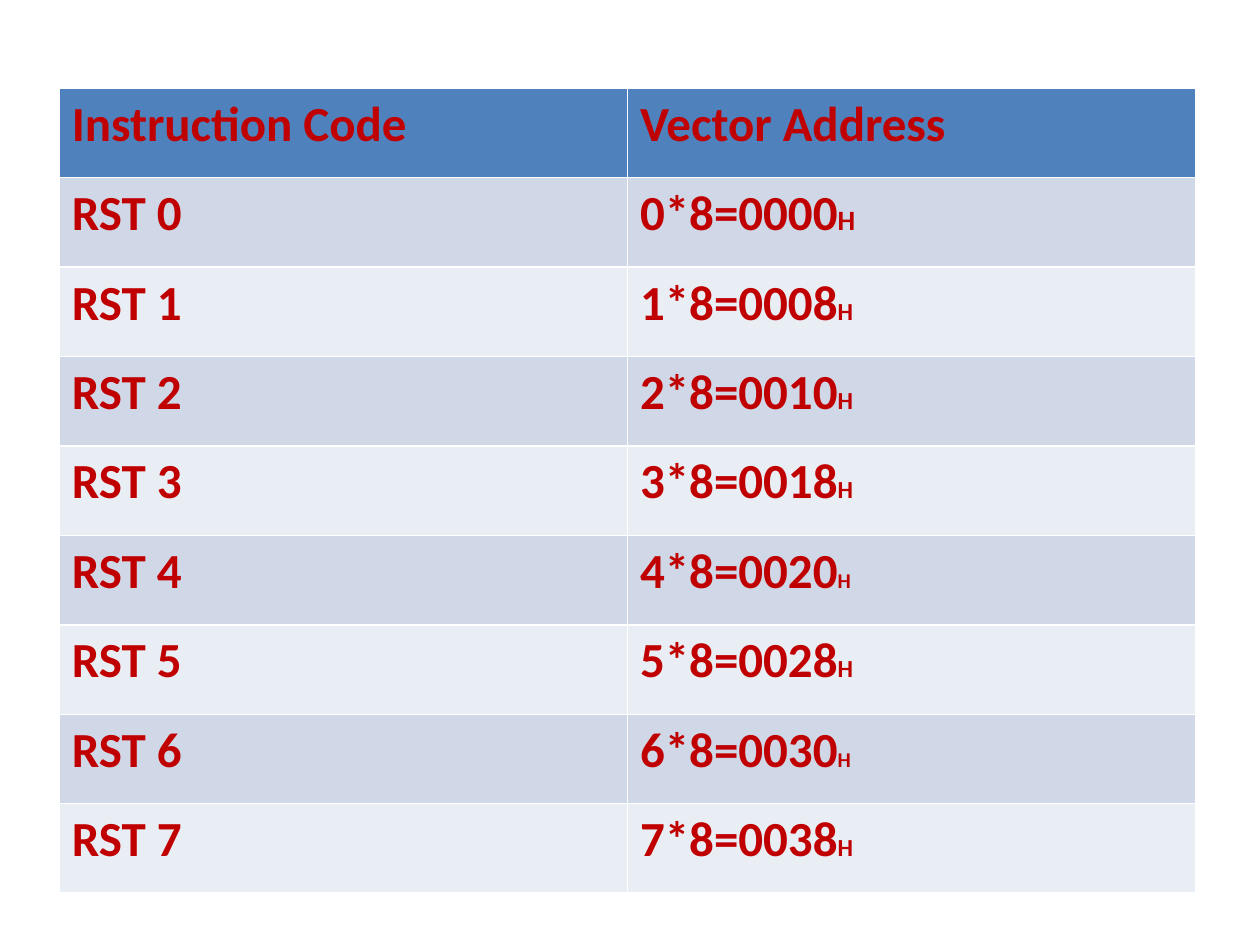
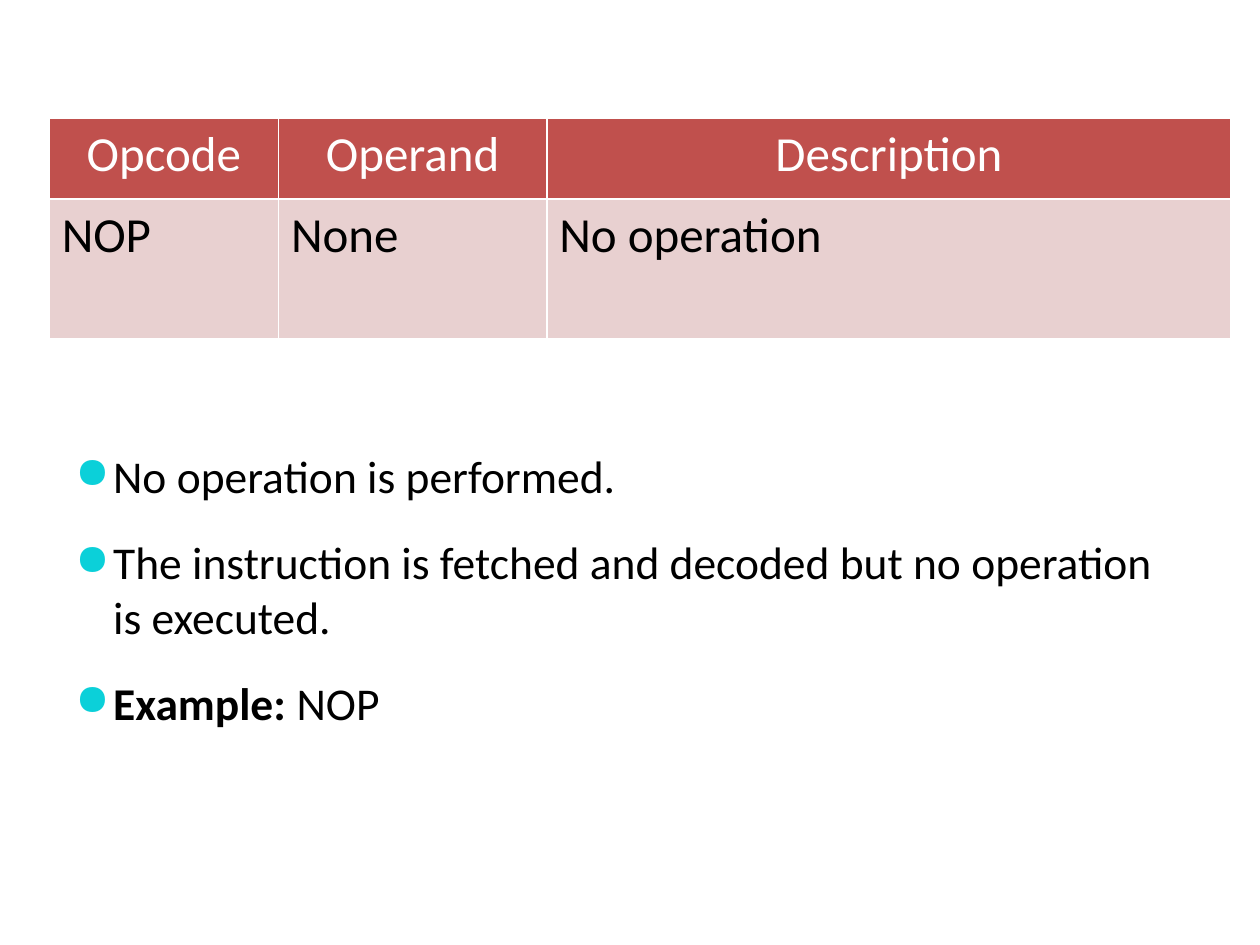
from lxml import etree
from pptx import Presentation
from pptx.dml.color import RGBColor
from pptx.enum import text
from pptx.oxml.ns import qn
from pptx.util import Inches, Pt

FONT = "Calibri"
WHITE = RGBColor(0xFF, 0xFF, 0xFF)
BLACK = RGBColor(0, 0, 0)
DARK_RED = RGBColor(0xC0, 0, 0)
BLUE = RGBColor(0x4F, 0x81, 0xBD)
BLUE_BANDS = (RGBColor(0xD0, 0xD8, 0xE8), RGBColor(0xE9, 0xED, 0xF4))
BRICK = RGBColor(0xC0, 0x50, 0x4D)
PINK = RGBColor(0xE8, 0xD0, 0xD0)
BULLET_COLOR = RGBColor(0x0B, 0xD0, 0xD9)

SUFFIX_SIZES = (16, 14, 14, 14, 12, 14, 12, 14)


def add_run(paragraph, words, size, color, bold=False):
    run = paragraph.add_run()
    run.text = words
    run.font.name = FONT
    run.font.size = Pt(size)
    run.font.bold = bold
    run.font.color.rgb = color
    return run


def add_table(slide, left, top, column_widths, row_heights):
    table = slide.shapes.add_table(
        len(row_heights), len(column_widths), Inches(left), Inches(top),
        Inches(sum(column_widths)), Inches(sum(row_heights))).table
    for column, width in zip(table.columns, column_widths):
        column.width = Inches(width)
    for row, height in zip(table.rows, row_heights):
        row.height = Inches(height)
    return table


def fill_cell(cell, words, fill, color, bold=False):
    """Write a 28 point entry on a plain fill and return its paragraph."""
    cell.fill.solid()
    cell.fill.fore_color.rgb = fill
    paragraph = cell.text_frame.paragraphs[0]
    add_run(paragraph, words, 28, color, bold)
    return paragraph


def add_bullet(paragraph):
    properties = paragraph._p.get_or_add_pPr()
    properties.set("marL", str(Inches(0.3)))
    properties.set("indent", str(-Inches(0.3)))
    color = etree.SubElement(properties, qn("a:buClr"))
    etree.SubElement(color, qn("a:srgbClr"), val=str(BULLET_COLOR))
    etree.SubElement(properties, qn("a:buSzPct"), val="95000")
    etree.SubElement(properties, qn("a:buChar"), char="●")
    paragraph.space_after = Pt(18)


def add_bullet_list(slide, left, top, width, height, items):
    """Add bulleted items, each a list of (words, bold) pieces."""
    frame = slide.shapes.add_textbox(
        Inches(left), Inches(top), Inches(width), Inches(height)).text_frame
    frame.word_wrap = True
    for index, pieces in enumerate(items):
        paragraph = frame.add_paragraph() if index else frame.paragraphs[0]
        add_bullet(paragraph)
        for words, bold in pieces:
            add_run(paragraph, words, 26, BLACK, bold)


def build_vector_slide(slide):
    table = add_table(slide, 0.47, 0.7, [4.51] * 2, [0.71] * 9)
    for column, heading in enumerate(("Instruction Code", "Vector Address")):
        fill_cell(table.cell(0, column), heading, BLUE, DARK_RED, bold=True)
    for number, suffix_size in enumerate(SUFFIX_SIZES):
        band = BLUE_BANDS[number % 2]
        row = number + 1
        fill_cell(table.cell(row, 0), f"RST {number}", band, DARK_RED, bold=True)
        address = fill_cell(table.cell(row, 1), f"{number}*8={number * 8:04X}",
                            band, DARK_RED, bold=True)
        add_run(address, "H", suffix_size, DARK_RED, bold=True)


def build_nop_slide(slide):
    table = add_table(slide, 0.39, 0.94, [1.82, 2.13, 5.43], [0.64, 1.11])
    columns = (("Opcode", "NOP"), ("Operand", "None"),
               ("Description", "No operation"))
    for column, (heading, value) in enumerate(columns):
        header = fill_cell(table.cell(0, column), heading, BRICK, WHITE)
        header.alignment = text.PP_ALIGN.CENTER
        fill_cell(table.cell(1, column), value, PINK, BLACK)

    add_bullet_list(slide, 0.5, 3.51, 9, 3.4, [
        [("No operation is performed.", False)],
        [("The instruction is fetched and decoded but no operation "
          "is executed.", False)],
        [("Example:", True), (" NOP", False)],
    ])


def main():
    presentation = Presentation()
    presentation.slide_width = Inches(10)
    presentation.slide_height = Inches(7.5)
    blank_layout = presentation.slide_layouts[6]
    for build_slide in (build_vector_slide, build_nop_slide):
        build_slide(presentation.slides.add_slide(blank_layout))
    presentation.save("out.pptx")


if __name__ == "__main__":
    main()
